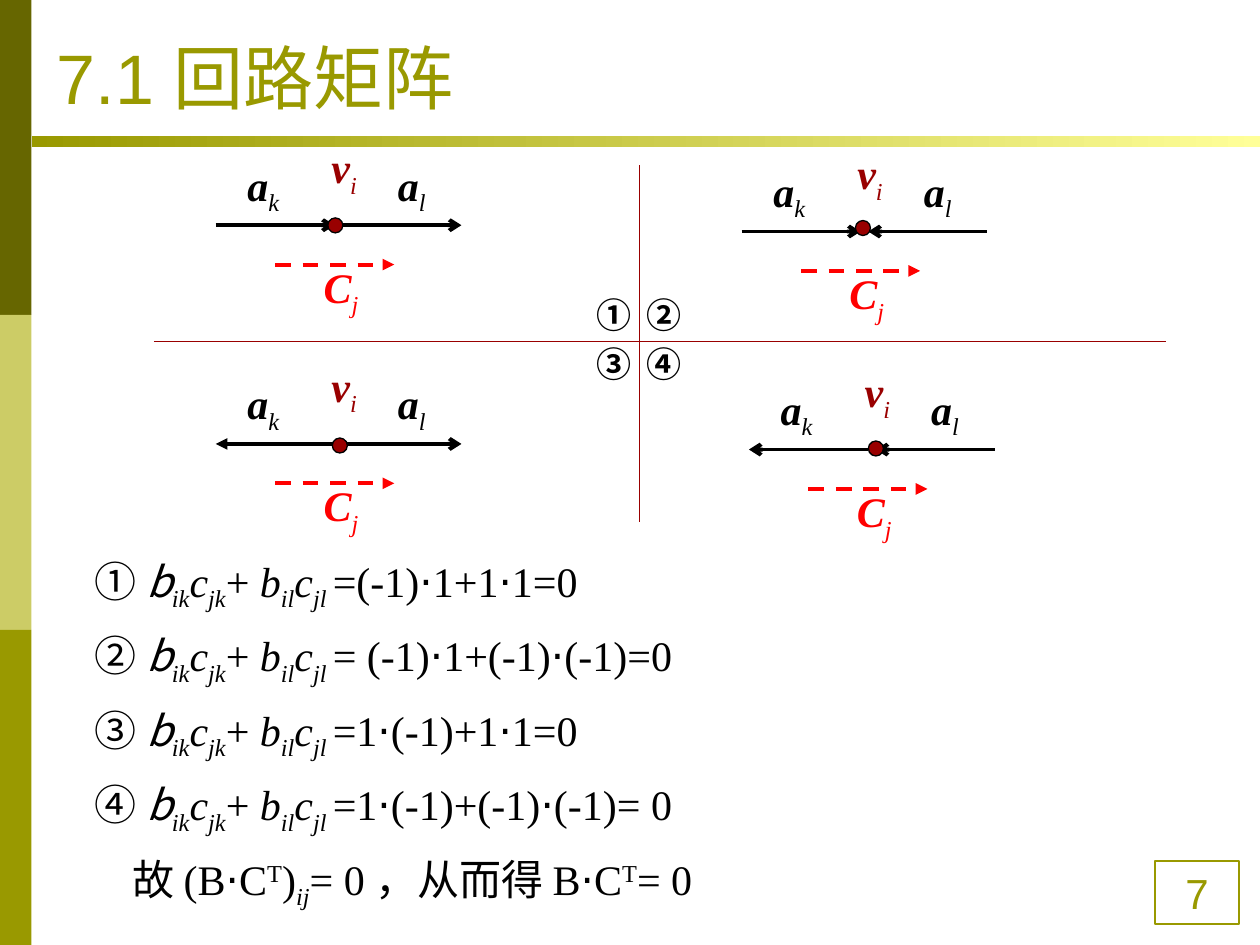
from pptx import Presentation
from pptx.dml.color import RGBColor
from pptx.enum.dml import MSO_LINE
from pptx.enum.shapes import MSO_CONNECTOR, MSO_SHAPE
from pptx.enum.text import MSO_ANCHOR, PP_ALIGN
from pptx.oxml.ns import qn
from pptx.util import Pt
from lxml import etree

CJK, SERIF, SANS = "Noto Sans CJK SC", "Times New Roman", "Arial"
OLIVE, MAROON, RED, BLACK = "999900", "990000", "FF0000", "000000"
SUB, SUP = -25000, 30000


def color(value):
    return RGBColor.from_string(value)


def set_font(font, face, size, value):
    font.size = Pt(size)
    font.color.rgb = color(value)
    font.name = face
    etree.SubElement(font._rPr, qn("a:ea"), typeface=CJK)


def add_run(p, text, face=None, italic=None, bold=None, base=0):
    r = p.add_run()
    r.text = text
    r.font.italic = italic
    r.font.bold = bold
    if face:
        r.font.name = face
    if base:
        r._r.get_or_add_rPr().set("baseline", str(base))


def add_text(s, x, y, w, h, wrap=False):
    tf = s.shapes.add_textbox(Pt(x), Pt(y), Pt(w), Pt(h)).text_frame
    tf.word_wrap = wrap
    return tf


def add_shape(s, x, y, w, h, fill=None, line=None, kind=MSO_SHAPE.RECTANGLE):
    sp = s.shapes.add_shape(kind, Pt(x), Pt(y), Pt(w), Pt(h))
    sp.shadow.inherit = False
    if fill:
        sp.fill.solid()
        sp.fill.fore_color.rgb = color(fill)
    else:
        sp.fill.background()
    if line:
        sp.line.color.rgb = color(line)
        sp.line.width = Pt(0.74)
    else:
        sp.line.fill.background()
    return sp


def add_line(s, x1, y1, x2, y2, value, width=0.74, head=None, tail=None, dash=False):
    c = s.shapes.add_connector(MSO_CONNECTOR.STRAIGHT, Pt(x1), Pt(y1), Pt(x2), Pt(y2))
    c.line.color.rgb = color(value)
    c.line.width = Pt(width)
    if dash:
        c.line.dash_style = MSO_LINE.DASH
    ln = c.line._get_or_add_ln()
    etree.SubElement(ln, qn("a:miter"), lim="800000")
    for tag, end in (("a:headEnd", head), ("a:tailEnd", tail)):
        if end:
            etree.SubElement(ln, qn(tag), type=end)
    etree.SubElement(c._element.spPr, qn("a:effectLst"))


def add_frame(s, w, h):
    for i, fill in enumerate(("666600", "CCCC66", OLIVE)):
        add_shape(s, 0, i * h / 3, 18, h / 3, fill)
    bar = add_shape(s, 18, 77.75, w - 18, 6.5, OLIVE)
    bar.fill.gradient()
    bar.fill.gradient_angle = 0
    for stop, value in zip(bar.fill.gradient_stops, (OLIVE, "FFFF99")):
        stop.color.rgb = color(value)
    tf = add_shape(s, w - 60, h - 48, 48, 36, line=OLIVE).text_frame
    tf.vertical_anchor = MSO_ANCHOR.MIDDLE
    p = tf.paragraphs[0]
    p.alignment = PP_ALIGN.CENTER
    set_font(p.font, SANS, 24, OLIVE)
    add_run(p, "7")


def add_title(s, x, y, w, h):
    tf = add_text(s, x, y, w, h, True)
    tf.vertical_anchor = MSO_ANCHOR.BOTTOM
    p = tf.paragraphs[0]
    set_font(p.font, SANS, 40, OLIVE)
    add_run(p, "7.1 回路矩阵")


def add_label(s, x, y, letter, index, value):
    p = add_text(s, x, y, 48, 40).paragraphs[0]
    p.alignment = PP_ALIGN.LEFT
    p.space_before = Pt(6)
    set_font(p.font, SERIF, 24, value)
    add_run(p, letter, italic=True, bold=True)
    add_run(p, index, italic=True, base=SUB)


def add_case(s, x, y, left, right, dot):
    add_label(s, x + 11, y + 10.3, "a", "k", BLACK)
    add_label(s, x + 97, y + 10.3, "a", "l", BLACK)
    add_label(s, x + 54.5, y + 68.7, "C", "j", RED)
    add_label(s, x + 59, y + 0.3, "v", "i", MAROON)
    for start, ends in ((0, left), (72.4, right)):
        add_line(s, x + start, y + 51.7, x + start + 68, y + 51.7, BLACK, 2.24, **ends)
    add_line(s, x + 34, y + 74.2, x + 102, y + 74.2, RED, 2.24, tail="triangle", dash=True)
    add_shape(s, x + dot[0], y + dot[1], 8.6, 8.6, MAROON, BLACK, MSO_SHAPE.OVAL)


def add_cross(s, x, y, w, h):
    mid_x, mid_y = x + 277.5, y + 100.8
    add_line(s, x, mid_y, x + w, mid_y, MAROON)
    add_line(s, mid_x, y, mid_x, y + h, MAROON)
    for i, mark in enumerate("①②③④"):
        row, col = divmod(i, 2)
        p = add_text(s, mid_x - 32 + 29 * col, mid_y - 31 + 28 * row, 34.6, 31.7).paragraphs[0]
        p.space_before = Pt(5)
        set_font(p.font, CJK, 20, BLACK)
        add_run(p, mark, bold=True)


def add_product(p, text):
    for i, part in enumerate(text.split("⋅")):
        if i:
            add_run(p, "⋅", SANS)
        add_run(p, part)


def add_formulas(s, x, y, w, h, formulas):
    tf = add_text(s, x, y, w, h, True)

    def new_line(p, indent):
        p.line_spacing = 1.3
        p._p.get_or_add_pPr().set("marL", str(Pt(indent)))
        set_font(p.font, SERIF, 24, BLACK)
        return p

    for i, (mark, result) in enumerate(formulas):
        p = new_line(tf.add_paragraph() if i else tf.paragraphs[0], 21.5)
        add_run(p, mark + " ", CJK)
        add_run(p, "b", CJK, True)
        for text, base in (("ik", SUB), ("c", 0), ("jk", SUB)):
            add_run(p, text, italic=True, base=base)
        add_run(p, "+ ")
        for text, base in (("b", 0), ("il", SUB), ("c", 0), ("jl ", SUB)):
            add_run(p, text, italic=True, base=base)
        add_product(p, result)

    p = new_line(tf.add_paragraph(), 43)
    add_product(p, "故 (B⋅C")
    add_run(p, "T", base=SUP)
    add_run(p, ")")
    add_run(p, "ij", italic=True, base=SUB)
    add_product(p, "= 0 ，从而得 B⋅C")
    add_run(p, "T", base=SUP)
    add_run(p, "= 0")


prs = Presentation()
prs.slide_width, prs.slide_height = Pt(720), Pt(540)
s = prs.slides.add_slide(prs.slide_layouts[6])
add_frame(s, 720, 540)
add_title(s, 25.5, 15, 648, 56)
add_formulas(s, 25.5, 304, 669, 220, (
    ("①", "=(-1)⋅1+1⋅1=0"),
    ("②", "= (-1)⋅1+(-1)⋅(-1)=0"),
    ("③", "=1⋅(-1)+1⋅1=0"),
    ("④", "=1⋅(-1)+(-1)⋅(-1)= 0"),
))
add_cross(s, 88, 94.5, 578, 204)
forward, backward = {"tail": "arrow"}, {"head": "arrow"}
for case in (
    (123.3, 77, forward, forward, (64, 47.5)),
    (423.8, 80.6, forward, backward, (65, 45.4)),
    (123.3, 202, {"head": "triangle"}, forward, (66.6, 48.3)),
    (428, 205.2, backward, backward, (68.2, 46.8)),
):
    add_case(s, *case)
prs.save("out.pptx")
